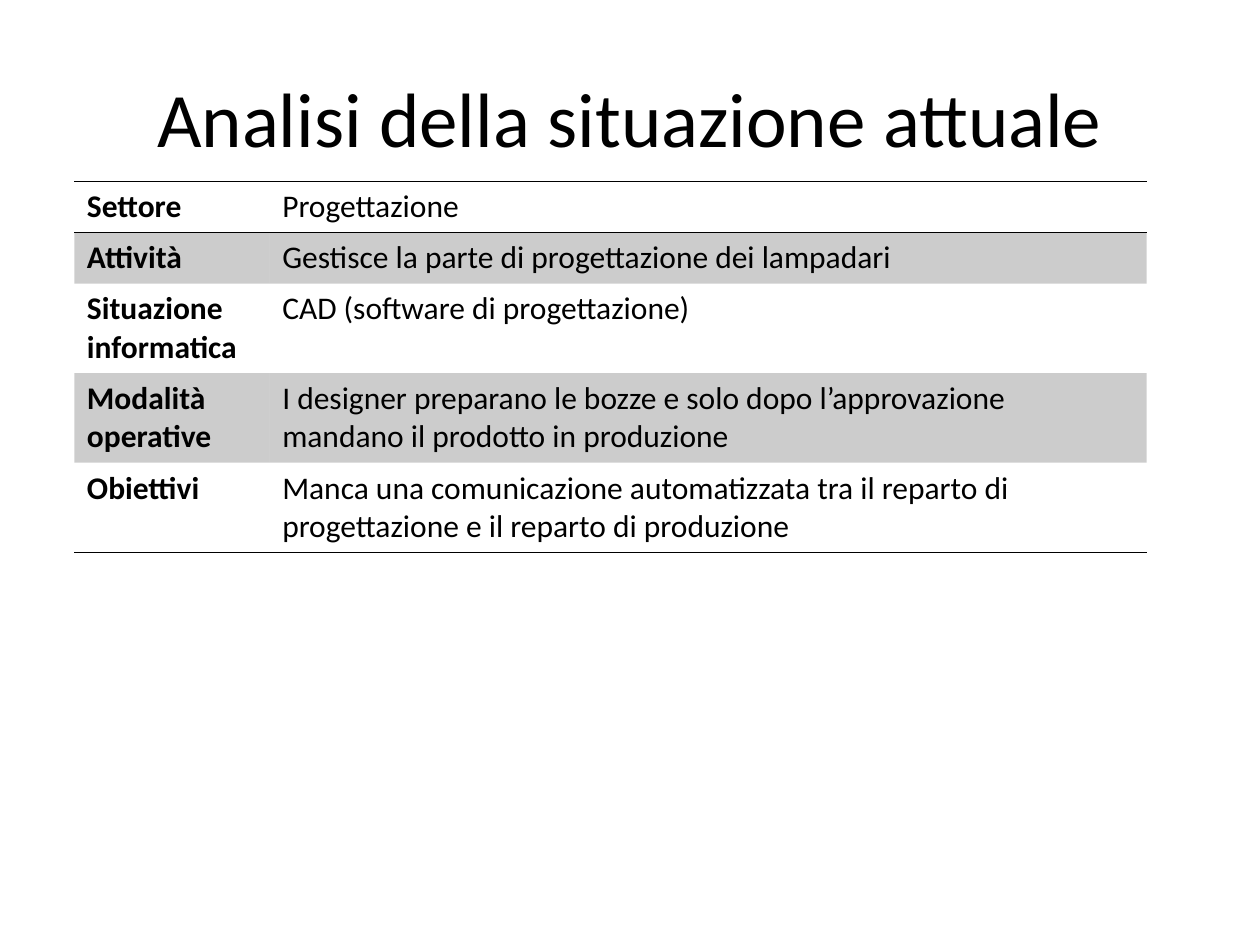
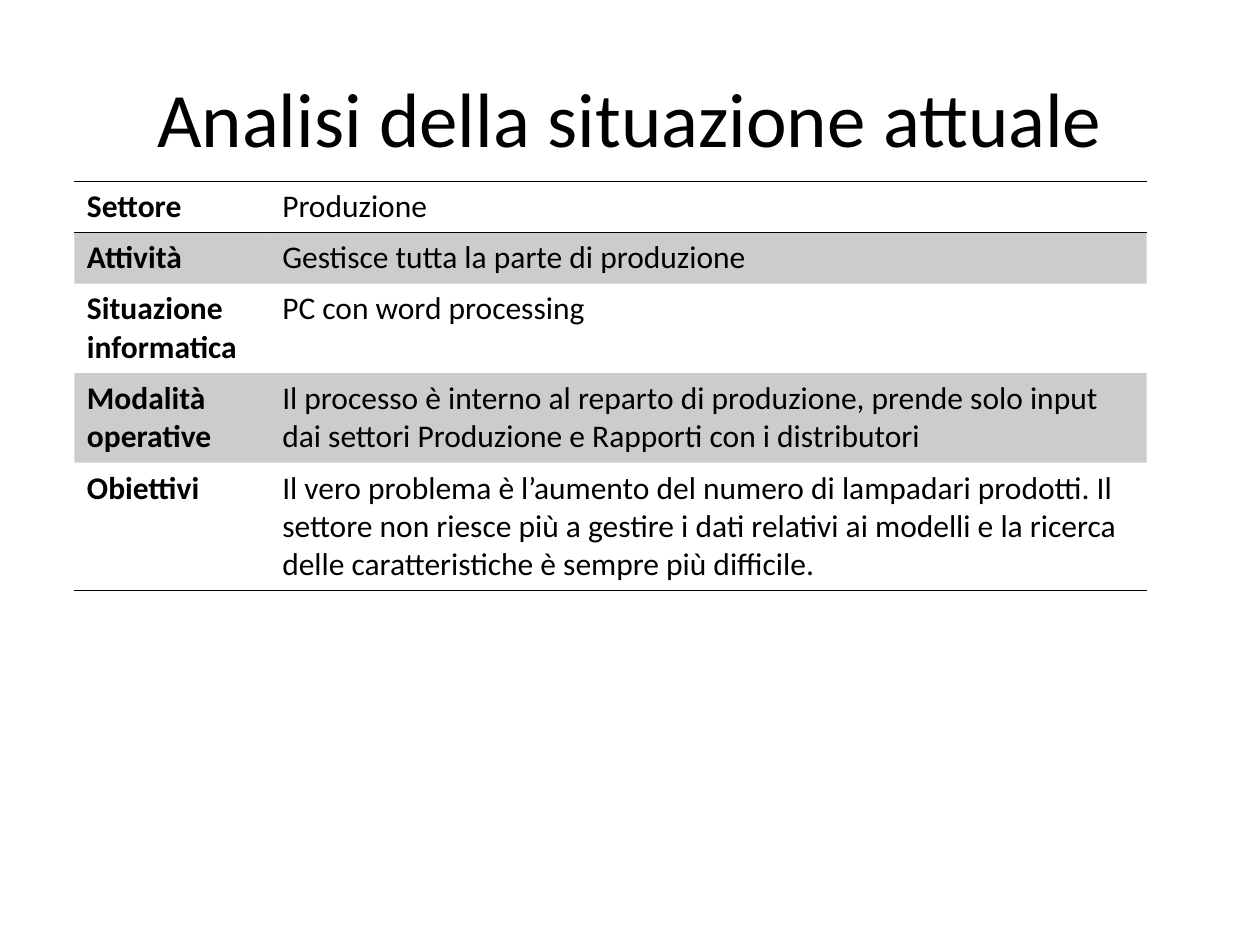
from dataclasses import dataclass

from lxml.etree import SubElement
from pptx import Presentation
from pptx.dml.color import RGBColor
from pptx.enum.text import MSO_ANCHOR, PP_ALIGN
from pptx.oxml.ns import qn
from pptx.util import Pt

INK = "000000"
TITLE = "Analisi della situazione attuale"
LABELS = ("Settore", "Attività", "Situazione informatica",
          "Modalità operative", "Obiettivi")
RULES = {0, 1, len(LABELS)}  # row edges that carry a line
BANDS = {1, 3}  # shaded rows
WIDTHS = (Pt(111.6), Pt(501.1))
ROW = Pt(29.2)
TITLE_BOX = {"left": Pt(36), "top": Pt(21.6), "width": Pt(648), "height": Pt(90)}
TITLE_FONT = {"name": "Calibri", "size": Pt(44)}
CELL_FONT = {"name": "Calibri", "size": Pt(18)}


@dataclass
class Sector:
    """The values that describe one company sector, in label order."""
    values: tuple[str, ...]


SECTORS = (
    Sector((
        "Progettazione",
        "Gestisce la parte di progettazione dei lampadari",
        "CAD (software di progettazione)",
        "I designer preparano le bozze e solo dopo l’approvazione mandano "
        "il prodotto in produzione",
        "Manca una comunicazione automatizzata tra il reparto di "
        "progettazione e il reparto di produzione",
    )),
    Sector((
        "Produzione",
        "Gestisce tutta la parte di produzione",
        "PC con word processing",
        "Il processo è interno al reparto di produzione, prende solo input "
        "dai settori Produzione e Rapporti con i distributori",
        "Il vero problema è l’aumento del numero di lampadari prodotti. Il "
        "settore non riesce più a gestire i dati relativi ai modelli e la "
        "ricerca delle caratteristiche è sempre più difficile.",
    )),
)


def paint(color, code: str) -> None:
    """Give a colour object its hex value."""
    color.rgb = RGBColor.from_string(code)


def apply(item, form: dict) -> None:
    """Set each attribute named in a dict of format values."""
    for name, value in form.items():
        setattr(item, name, value)


def style(frame, text: str, form: dict) -> None:
    """Write text in a frame and format its font."""
    frame.text = text
    font = frame.paragraphs[0].runs[0].font
    apply(font, form)
    paint(font.color, INK)


def border(cell, row: int) -> None:
    """Draw the rules above and below a cell and clear its other sides."""
    props = cell._tc.get_or_add_tcPr()
    sides = {"L": False, "R": False, "T": row in RULES, "B": row + 1 in RULES}
    for side, ruled in sides.items():
        line = SubElement(props, qn(f"a:ln{side}"), w=str(Pt(1)))
        fill = SubElement(line, qn("a:solidFill" if ruled else "a:noFill"))
        if ruled:
            SubElement(fill, qn("a:srgbClr"), val=INK)


def shade(cell, row: int) -> None:
    """Fill a banded cell with 20% ink and leave others clear."""
    if row not in BANDS:
        cell.fill.background()
        return
    cell.fill.solid()
    paint(cell.fill.fore_color, INK)
    tint = cell._tc.tcPr.find(f"{qn('a:solidFill')}/{qn('a:srgbClr')}")
    SubElement(tint, qn("a:alpha"), val="20000")


def add_title(slide) -> None:
    """Place and format the slide title."""
    title = slide.shapes.title
    apply(title, TITLE_BOX)
    style(title.text_frame, TITLE, TITLE_FONT)
    title.text_frame.vertical_anchor = MSO_ANCHOR.MIDDLE
    title.text_frame.paragraphs[0].alignment = PP_ALIGN.CENTER


def add_grid(slide, sector: Sector) -> None:
    """Add the table of labels and values for a sector."""
    count = len(LABELS)
    table = slide.shapes.add_table(count, len(WIDTHS), Pt(42.5), Pt(103.7),
                                   sum(WIDTHS), ROW * count).table
    apply(table, {"first_row": False, "horz_banding": False})
    for column, width in zip(table.columns, WIDTHS):
        column.width = width
    for row, pair in enumerate(zip(LABELS, sector.values)):
        table.rows[row].height = ROW
        for col, text in enumerate(pair):
            cell = table.cell(row, col)
            style(cell.text_frame, text, CELL_FONT | {"bold": col == 0})
            border(cell, row)
            shade(cell, row)


def main() -> None:
    """Build one slide for each sector and save the deck."""
    deck = Presentation()
    apply(deck, {"slide_width": Pt(720), "slide_height": Pt(540)})
    for sector in SECTORS:
        slide = deck.slides.add_slide(deck.slide_layouts[5])
        add_title(slide)
        add_grid(slide, sector)
    deck.save("out.pptx")


main()
